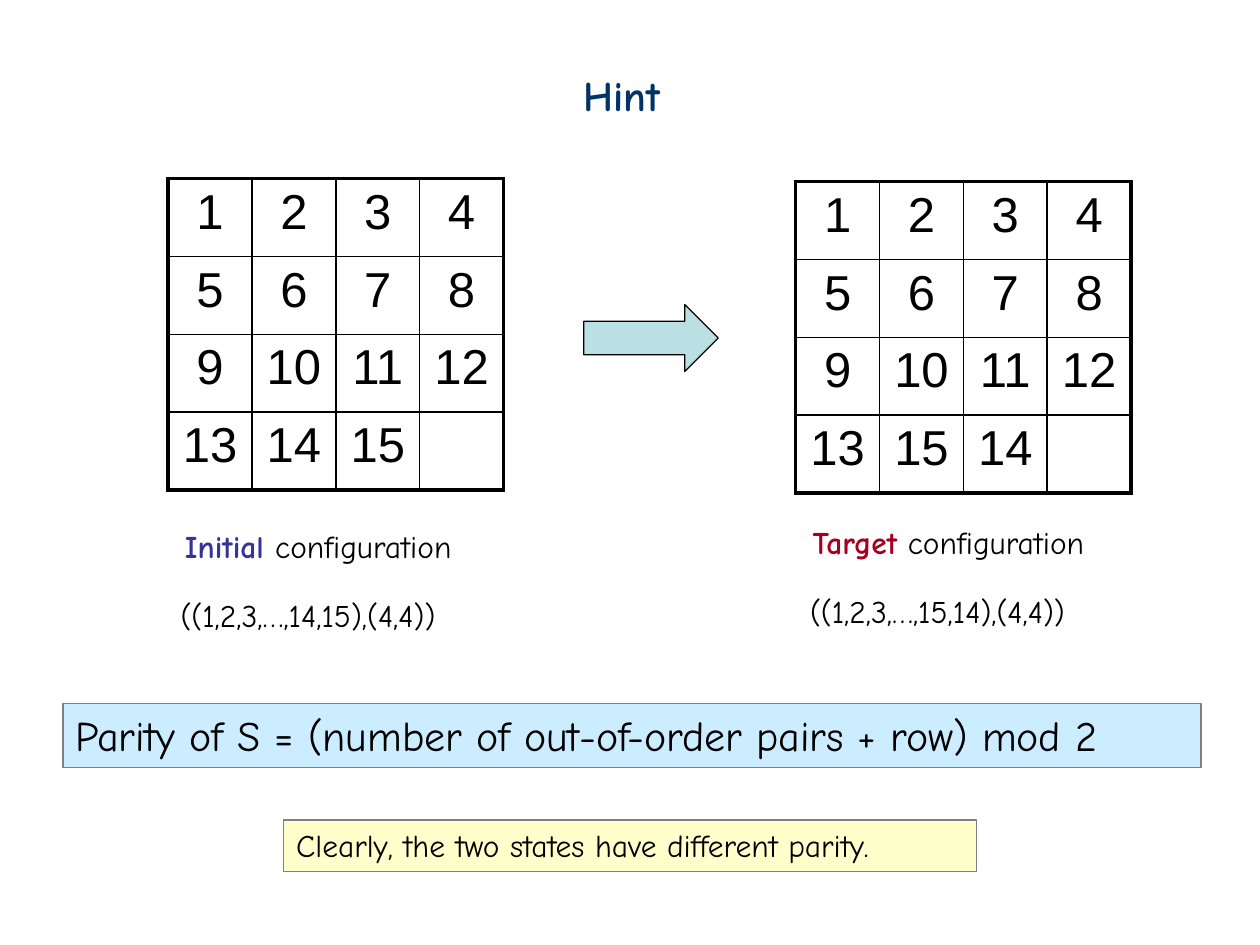
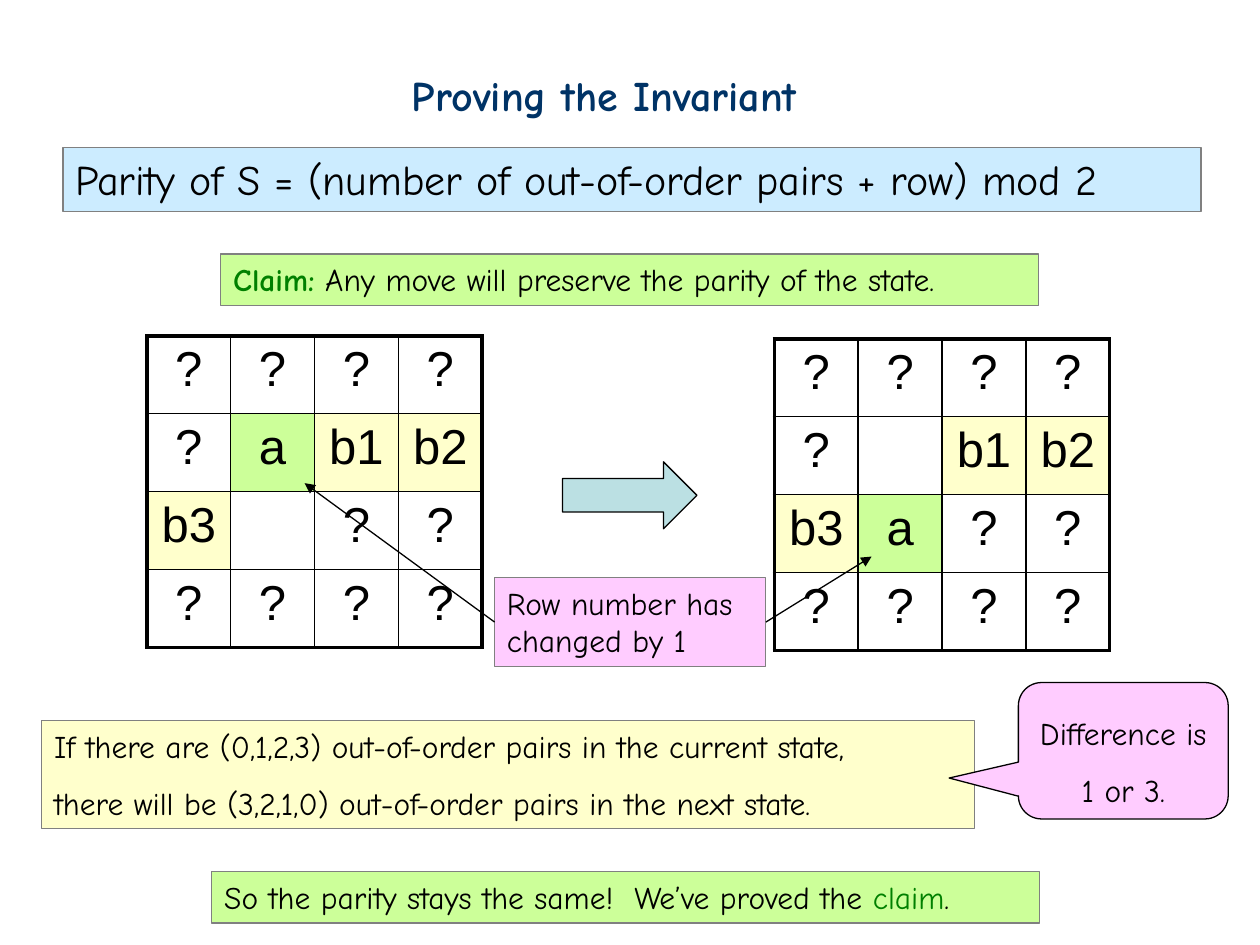
from dataclasses import dataclass

from lxml import etree
from pptx import Presentation
from pptx.dml.color import RGBColor
from pptx.enum.shapes import MSO_CONNECTOR, MSO_SHAPE
from pptx.enum.text import MSO_ANCHOR, MSO_AUTO_SIZE, PP_ALIGN
from pptx.oxml.ns import qn
from pptx.util import Cm, Pt

RECTANGLE = MSO_SHAPE.RECTANGLE
RIGHT_ARROW = MSO_SHAPE.RIGHT_ARROW
CALLOUT = MSO_SHAPE.ROUNDED_RECTANGULAR_CALLOUT
STRAIGHT = MSO_CONNECTOR.STRAIGHT
TOP = MSO_ANCHOR.TOP
NO_AUTOFIT = MSO_AUTO_SIZE.NONE
LEFT = PP_ALIGN.LEFT
CENTER = PP_ALIGN.CENTER

TITLE_ONLY_LAYOUT = 5
LEFT_SIDE, RIGHT_SIDE = 1, 3

TEXT_FONT = "Comic Neue"
GRID_FONT = "Arial"
BLACK = "000000"
GRAY = "808080"
NAVY = "003366"
INDIGO = "333399"
CRIMSON = "A50021"
GREEN = "008000"
LIGHT_GREEN = "CCFF99"
LIGHT_YELLOW = "FFFFCC"
LIGHT_BLUE = "CCECFF"
LIGHT_PINK = "FFCCFF"
TEAL = "BBE0E3"

COLUMN_WIDTH = 1.69
ROW_HEIGHT = 1.57
THIN, THICK = 1, 2.25
TILE_FILLS = {"a": LIGHT_GREEN, "b1": LIGHT_YELLOW, "b2": LIGHT_YELLOW, "b3": LIGHT_YELLOW}


@dataclass(frozen=True)
class Run:
    text: str
    color: str = BLACK
    bold: bool = False


@dataclass(frozen=True)
class Line:
    runs: tuple[Run, ...]
    spacing: float = 1.0


@dataclass(frozen=True)
class Box:
    left: float
    top: float
    width: float
    height: float
    lines: tuple[Line, ...]
    fill: str | None = None
    outline: str = GRAY
    size: float = 18
    alignment: PP_ALIGN = LEFT
    preset: MSO_SHAPE = RECTANGLE


def rgb(color: str) -> RGBColor:
    return RGBColor.from_string(color)


def line(*runs: Run | str, spacing: float = 1.0) -> Line:
    return Line(tuple(Run(run) if isinstance(run, str) else run for run in runs), spacing)


def write_text(paragraph, text: str, *, size: float = 18, font: str = TEXT_FONT,
               color: str = BLACK, bold: bool = False,
               alignment: PP_ALIGN = LEFT, spacing: float = 1.0) -> None:
    paragraph.alignment = alignment
    paragraph.line_spacing = spacing
    run = paragraph.add_run()
    run.text = text
    run.font.size = Pt(size)
    run.font.name = font
    run.font.bold = bold
    run.font.color.rgb = rgb(color)


def paint(shape, fill: str, outline: str) -> None:
    shape.shadow.inherit = False
    shape.fill.solid()
    shape.fill.fore_color.rgb = rgb(fill)
    shape.line.color.rgb = rgb(outline)
    shape.line.width = Pt(0.75)


def prepare_frame(frame) -> None:
    frame.word_wrap = True
    frame.auto_size = NO_AUTOFIT
    frame.vertical_anchor = TOP


def draw_box(slide, box: Box):
    place = [Cm(length) for length in (box.left, box.top, box.width, box.height)]
    if box.fill is None:
        shape = slide.shapes.add_textbox(*place)
    else:
        shape = slide.shapes.add_shape(box.preset, *place)
        paint(shape, box.fill, box.outline)
    frame = shape.text_frame
    prepare_frame(frame)
    for index, text_line in enumerate(box.lines):
        paragraph = frame.add_paragraph() if index else frame.paragraphs[0]
        for run in text_line.runs:
            write_text(paragraph, run.text, size=box.size, color=run.color, bold=run.bold,
                       alignment=box.alignment, spacing=text_line.spacing)
    return shape


def add_titled_slide(presentation, title: str, left: float, width: float):
    slide = presentation.slides.add_slide(presentation.slide_layouts[TITLE_ONLY_LAYOUT])
    shape = slide.shapes.title
    shape.left, shape.top, shape.width, shape.height = Cm(left), Cm(1.27), Cm(width), Cm(1.27)
    prepare_frame(shape.text_frame)
    write_text(shape.text_frame.paragraphs[0], title, size=24, color=NAVY, bold=True)
    return slide


def draw_parity_rule(slide, top: float) -> None:
    rule = line("Parity of S = (number of out-of-order pairs + row) mod 2")
    draw_box(slide, Box(1.27, top, 22.94, 1.3, (rule,), LIGHT_BLUE, size=24))


def set_borders(cell, widths: dict[str, float]) -> None:
    properties = cell._tc.get_or_add_tcPr()
    for index, (side, width) in enumerate(widths.items()):
        border = etree.Element(qn(f"a:ln{side}"), w=str(Pt(width)))
        solid = etree.SubElement(border, qn("a:solidFill"))
        etree.SubElement(solid, qn("a:srgbClr"), val=BLACK)
        properties.insert(index, border)


def draw_grid(slide, left: float, top: float, rows: list[list[str]]) -> None:
    count = len(rows)
    table = slide.shapes.add_table(count, count, Cm(left), Cm(top),
                                   Cm(count * COLUMN_WIDTH), Cm(count * ROW_HEIGHT)).table
    table.first_row = table.horz_banding = False
    for column in table.columns:
        column.width = Cm(COLUMN_WIDTH)
    for row in table.rows:
        row.height = Cm(ROW_HEIGHT)
    last = count - 1
    for row_index, tiles in enumerate(rows):
        for column_index, tile in enumerate(tiles):
            cell = table.cell(row_index, column_index)
            if tile in TILE_FILLS:
                cell.fill.solid()
                cell.fill.fore_color.rgb = rgb(TILE_FILLS[tile])
            else:
                cell.fill.background()
            set_borders(cell, {
                "L": THICK if column_index == 0 else THIN,
                "R": THICK if column_index == last else THIN,
                "T": THICK if row_index == 0 else THIN,
                "B": THICK if row_index == last else THIN,
            })
            if tile:
                write_text(cell.text_frame.paragraphs[0], tile, size=28, font=GRID_FONT,
                           alignment=CENTER)


def draw_move(slide, left: float, top: float,
              before: list[list[str]], after: list[list[str]]) -> None:
    draw_grid(slide, left, top, before)
    draw_grid(slide, left + 12.65, top + 0.06, after)
    arrow = slide.shapes.add_shape(RIGHT_ARROW, Cm(left + 8.38), Cm(top + 2.54),
                                   Cm(2.71), Cm(1.35))
    paint(arrow, TEAL, BLACK)


def draw_pointer(slide, source, side: int, tip_left: float, tip_top: float) -> None:
    pointer = slide.shapes.add_connector(STRAIGHT, 0, 0, Cm(tip_left), Cm(tip_top))
    pointer.begin_connect(source, side)
    pointer.line.color.rgb = rgb(BLACK)
    pointer.line.width = Pt(0.75)
    etree.SubElement(pointer.line._get_or_add_ln(), qn("a:tailEnd"), type="triangle")
    etree.SubElement(pointer._element.spPr, qn("a:effectLst"))


def numbered_tiles(last_row: list[str]) -> list[list[str]]:
    return [[str(4 * row + column) for column in range(1, 5)] for row in range(3)] + [last_row]


def build_hint(presentation) -> None:
    slide = add_titled_slide(presentation, "Hint", 11.51, 2.24)
    draw_move(slide, 3.39, 3.6, numbered_tiles(["13", "14", "15", ""]),
              numbered_tiles(["13", "15", "14", ""]))
    captions = (
        Box(3.48, 10.49, 6.58, 1.02, (line(Run("Initial ", INDIGO, True), "configuration"),)),
        Box(16.13, 10.41, 6.73, 1.02, (line(Run("Target", CRIMSON, True), " configuration"),)),
        Box(3.39, 11.89, 6.76, 1.02, (line("((1,2,3,…,14,15),(4,4))"),)),
        Box(16.08, 11.81, 6.76, 1.02, (line("((1,2,3,…,15,14),(4,4))"),)),
        Box(5.72, 16.53, 13.97, 1.04,
            (line("Clearly, the two states have different parity."),), LIGHT_YELLOW),
    )
    for caption in captions:
        draw_box(slide, caption)
    draw_parity_rule(slide, 14.18)


def build_proof(presentation) -> None:
    slide = add_titled_slide(presentation, "Proving the Invariant", 8.05, 9.19)
    claim = line(Run("Claim:", GREEN, True), " Any move will preserve the parity of the state.")
    draw_box(slide, Box(4.45, 5.12, 16.48, 1.04, (claim,), LIGHT_GREEN))
    draw_parity_rule(slide, 2.97)
    unknown = ["?"] * 4
    draw_move(slide, 2.96, 6.77,
              [unknown, ["?", "a", "b1", "b2"], ["b3", "", "?", "?"], unknown],
              [unknown, ["?", "", "b1", "b2"], ["b3", "a", "?", "?"], unknown])
    draw_box(slide, Box(0.84, 14.53, 18.8, 2.18, (
        line("If there are (0,1,2,3) out-of-order pairs in the current state,"),
        line("there will be (3,2,1,0) out-of-order pairs in the next state.", spacing=1.5),
    ), LIGHT_YELLOW))
    row_note = draw_box(slide, Box(9.97, 11.64, 5.47, 1.8, (
        line("Row number has"), line("changed by 1")), LIGHT_PINK))
    draw_pointer(slide, row_note, LEFT_SIDE, 6.14, 9.74)
    draw_pointer(slide, row_note, RIGHT_SIDE, 17.57, 11.22)
    conclusion = line("So the parity stays the same!  We’ve proved the ", Run("claim", GREEN), ".")
    draw_box(slide, Box(4.27, 17.57, 16.69, 1.04, (conclusion,), LIGHT_GREEN))
    difference = draw_box(slide, Box(
        20.53, 13.76, 4.23, 2.75, (line("Difference is 1 or 3.", spacing=1.5),),
        LIGHT_PINK, BLACK, alignment=CENTER, preset=CALLOUT))
    difference.adjustments[0] = -0.83
    difference.adjustments[1] = 0.2
    difference.adjustments[2] = 0.17


def main() -> None:
    presentation = Presentation()
    presentation.slide_width, presentation.slide_height = Cm(25.4), Cm(19.05)
    build_hint(presentation)
    build_proof(presentation)
    presentation.save("out.pptx")


if __name__ == "__main__":
    main()
